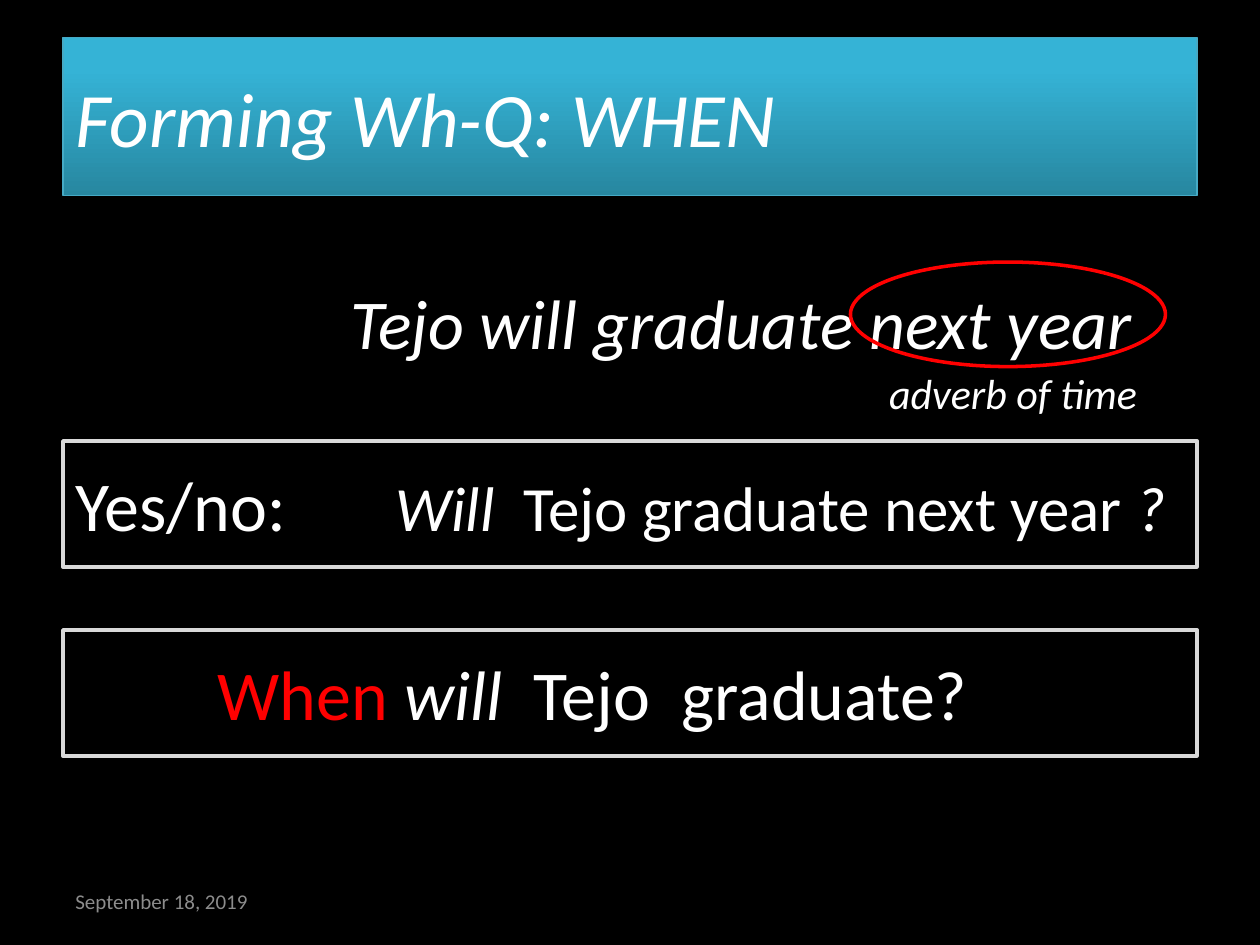
from pptx import Presentation
from pptx.dml.color import RGBColor
from pptx.enum import shapes, text
from pptx.oxml.ns import qn
from pptx.util import Inches, Pt
from lxml import etree

BLACK = RGBColor(0x00, 0x00, 0x00)
WHITE = RGBColor(0xFF, 0xFF, 0xFF)
RED = RGBColor(0xFF, 0x00, 0x00)
FRAME = RGBColor(0xD9, 0xD9, 0xD9)
GREY = RGBColor(0x8C, 0x8C, 0x8C)
BAND_DARK = RGBColor(0x27, 0x87, 0xA0)
BAND_LIGHT = RGBColor(0x35, 0xB3, 0xD6)
BAND_LINE = RGBColor(0x46, 0xAA, 0xC5)
LEFT, CENTER = text.PP_ALIGN.LEFT, text.PP_ALIGN.CENTER


def write(sp, runs, align=LEFT, indent=0):
    """Fill sp with one paragraph of (text, format) runs, indented in inches."""
    tf = sp.text_frame
    tf.word_wrap = True
    tf.vertical_anchor = text.MSO_ANCHOR.MIDDLE
    p = tf.paragraphs[0]
    p.alignment = align
    if indent:
        p._p.get_or_add_pPr().set("marL", str(Inches(indent)))
    for words, form in runs:
        r = p.add_run()
        r.text = words
        values = {"name": "Calibri", "size": Pt(40), "italic": False, **form}
        r.font.color.rgb = values.pop("color", WHITE)
        for key, value in values.items():
            setattr(r.font, key, value)
    return p


def outline(kind, at, color):
    sp = s.shapes.add_shape(kind, *map(Inches, at))
    sp.shadow.inherit = False
    sp.fill.background()
    sp.line.color.rgb = color
    sp.line.width = Pt(2)
    return sp


prs = Presentation()
prs.slide_width, prs.slide_height = Inches(10), Inches(7.5)
s = prs.slides.add_slide(prs.slide_layouts[5])
s.background.fill.solid()
s.background.fill.fore_color.rgb = BLACK

# Title band
title = s.shapes.title
title.left, title.top, title.width, title.height = map(Inches, (0.5, 0.3, 9, 1.25))
title.fill.gradient()
title.fill.gradient_angle = 90
dark, light = title.fill.gradient_stops
dark.color.rgb, light.color.rgb = BAND_DARK, BAND_LIGHT
light.position = 0.8
title.line.color.rgb = BAND_LINE
title.line.width = Pt(0.75)
write(title, [("Forming Wh-Q: WHEN", {"size": Pt(44), "italic": True})])

# Date and example sentence
date = s.shapes.add_textbox(*map(Inches, (0.5, 6.95, 2.33, 0.4)))
write(date, [("September 18, 2019", {"size": Pt(12), "color": GREY})])
sentence = s.shapes.add_textbox(*map(Inches, (0.42, 2, 9, 1.1)))
write(sentence, [("Tejo will graduate next year", {"italic": True})], indent=2.26)

# Framed questions
yes_no = outline(shapes.MSO_SHAPE.RECTANGLE, (0.5, 3.5, 9, 1), FRAME)
p = write(yes_no, [
    ("Yes/no:\t", {}),
    ("Will  ", {"size": Pt(36), "italic": True}),
    ("Tejo graduate next year ", {"size": Pt(36)}),
    ("?", {"size": Pt(36), "italic": True}),
])
tabs = etree.SubElement(p._p.get_or_add_pPr(), qn("a:tabLst"))
etree.SubElement(tabs, qn("a:tab"), pos=str(Inches(2.54)), algn="l")

when = outline(shapes.MSO_SHAPE.RECTANGLE, (0.5, 5, 9, 1), FRAME)
write(when, [
    ("When ", {"color": RED}),
    ("will  ", {"italic": True}),
    ("Tejo  graduate?", {}),
], indent=1.13)

# Marked adverb
outline(shapes.MSO_SHAPE.OVAL, (6.75, 2.08, 2.5, 0.83), RED)
label = s.shapes.add_textbox(*map(Inches, (6.83, 2.83, 2.42, 0.58)))
write(label, [("adverb of time", {"size": Pt(24), "italic": True})], CENTER)

prs.save("out.pptx")
